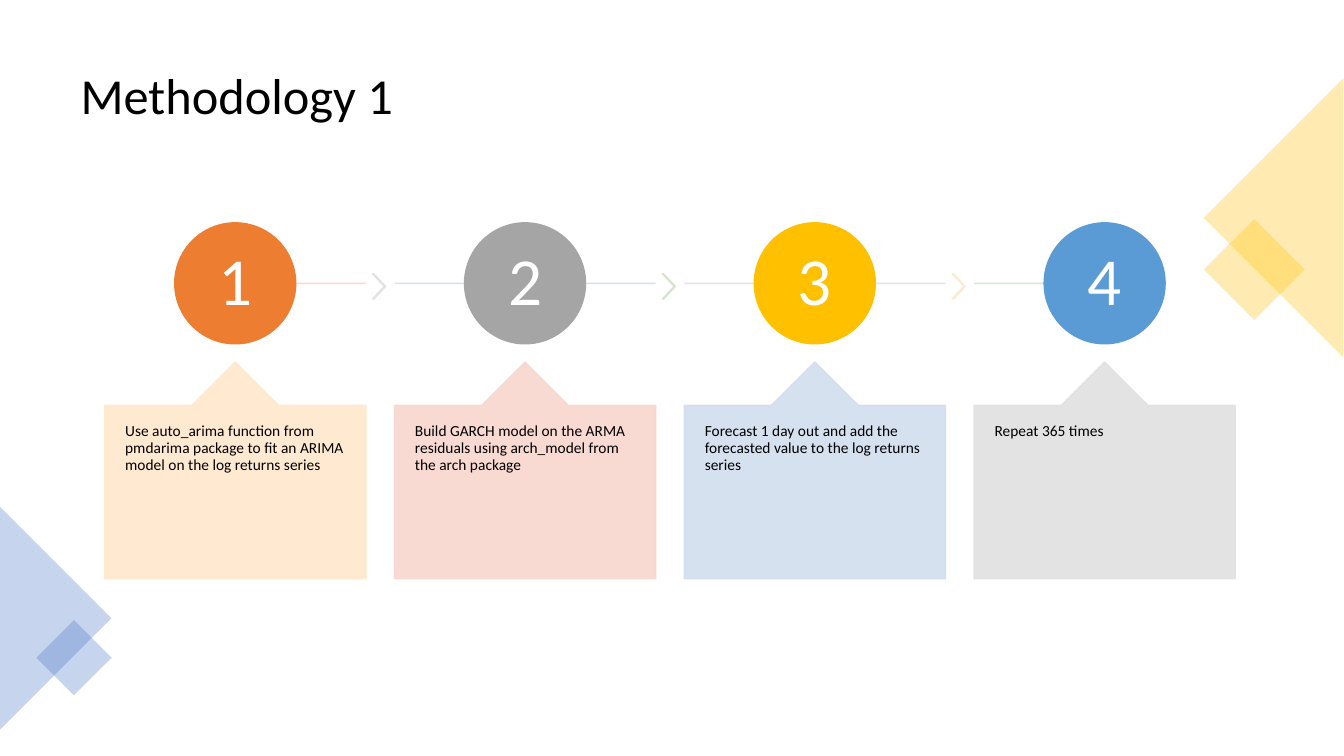
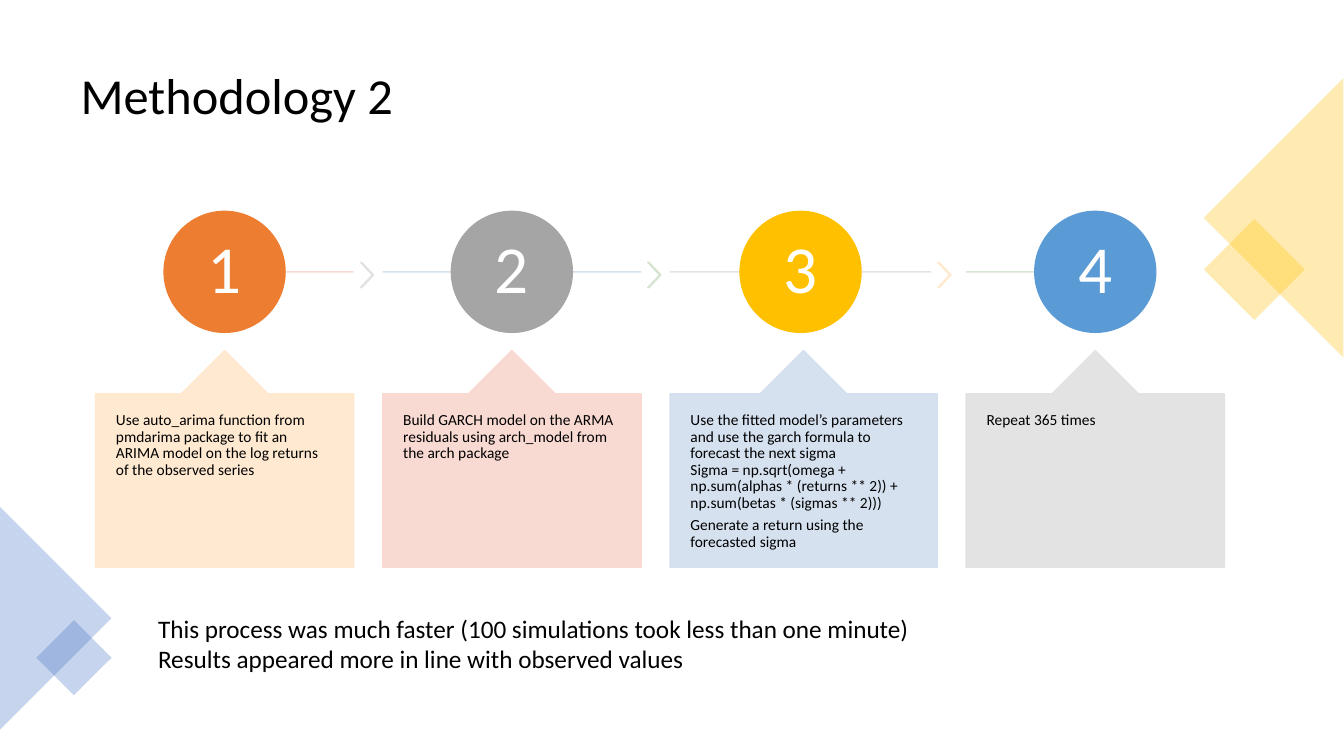
"""Builds two methodology slides, each with a four-step process row."""
from dataclasses import dataclass

from lxml.etree import SubElement
from pptx import Presentation
from pptx.dml.color import RGBColor
from pptx.enum.shapes import MSO_CONNECTOR, MSO_SHAPE as SHAPE
from pptx.enum.text import MSO_ANCHOR as ANCHOR, MSO_AUTO_SIZE as FIT, PP_ALIGN as ALIGN
from pptx.oxml.ns import qn
from pptx.util import Pt


@dataclass(frozen=True)
class Theme:
    font: str = "Calibri"
    title_size: int = 36
    number_size: int = 48
    note_size: int = 18
    step_size: int = 11
    ink: str = "000000"
    paper: str = "FFFFFF"
    gold: str = "FFC000"
    blue: str = "4472C4"
    corner_alpha: int = 30
    pale_alpha: int = 90
    circles: tuple = ("ED7D31", "A5A5A5", "FFC000", "5B9BD5")
    boxes: tuple = ("FFE8CC", "F8D7CE", "D2DEEF", "E1E1E1")
    rails: tuple = ("F8D7CE", "D2DEEF", "E1E1E1", "D5E3CF")
    chevrons: tuple = ("E1E1E1", "D5E3CF", "FFE8CC")


@dataclass(frozen=True)
class Step:
    text: str
    box_width: float
    rail_width: float


THEME = Theme()
TITLE_BOX = (50.4, 25.2, 859, 89.3)
CIRCLE = 86.4
CORNERS = (
    (SHAPE.RECTANGLE, (870.5, 167, 51, 51), 45, THEME.gold),
    (SHAPE.ISOSCELES_TRIANGLE, (810, 105.8, 199.4, 99.7), 270, THEME.gold),
    (SHAPE.ISOSCELES_TRIANGLE, (-39.8, 401.8, 159.2, 79.6), 90, THEME.blue),
    (SHAPE.RECTANGLE, (33.8, 450.8, 38, 38), 45, THEME.blue),
)

FIT_ARIMA = "Use auto_arima function from pmdarima package to fit an ARIMA model on the log returns"
BUILD_GARCH = ("Build GARCH model on the ARMA residuals using arch_model "
               "from the arch package")
REPEAT = "Repeat 365 times"
FORECAST_DAY = "Forecast 1 day out and add the forecasted value to the log returns series"
FORECAST_SIGMA = ("Use the fitted model’s parameters and use the garch formula "
                  "to forecast the next sigma\v"
                  "Sigma = np.sqrt(omega + np.sum(alphas * (returns ** 2)) + "
                  "np.sum(betas * (sigmas ** 2)))\n"
                  "Generate a return using the forecasted sigma")
NOTE = ("This process was much faster (100 simulations took less than one minute)\n"
        "Results appeared more in line with observed values")


def pts(*lengths):
    return [Pt(length) for length in lengths]


def set_alpha(sp, percent):
    for clr in sp.element.iter(qn("a:srgbClr")):
        SubElement(clr, qn("a:alpha"), val=str(percent * 1000))


def add_shape(s, kind, box, color, alpha=100, outlined=True):
    sp = s.shapes.add_shape(kind, *pts(*box))
    sp.shadow.inherit = False
    sp.fill.solid()
    sp.fill.fore_color.rgb = RGBColor.from_string(color)
    if outlined:
        sp.line.color.rgb = RGBColor.from_string(color)
        sp.line.width = Pt(1)
    else:
        sp.line.fill.background()
    if alpha < 100:
        set_alpha(sp, alpha)
    return sp


def write(sp, text, size, color=THEME.ink, align=ALIGN.LEFT, anchor=ANCHOR.TOP,
          insets=(7.2, 3.6), spacing=0.9, after=0):
    tf = sp.text_frame
    tf.text = text
    tf.word_wrap = True
    tf.auto_size = FIT.NONE
    tf.vertical_anchor = anchor
    tf.margin_left = tf.margin_right = Pt(insets[0])
    tf.margin_top = tf.margin_bottom = Pt(insets[1])
    for p in tf.paragraphs:
        p.alignment = align
        p.line_spacing = spacing
        p.space_before = Pt(0)
        p.space_after = Pt(after)
        for r in p.runs:
            r.font.name = THEME.font
            r.font.size = Pt(size)
            r.font.color.rgb = RGBColor.from_string(color)
    for br in sp.element.iter(qn("a:br")):
        SubElement(br, qn("a:rPr"), sz=str(size * 100))


def add_rail(s, start, end, y, color):
    cxn = s.shapes.add_connector(MSO_CONNECTOR.STRAIGHT, *pts(start, y, end, y))
    cxn.line.color.rgb = RGBColor.from_string(color)
    cxn.line.width = Pt(1)
    set_alpha(cxn, THEME.pale_alpha)
    SubElement(cxn.element.spPr, qn("a:effectLst"))


def add_callout(s, box, color, text):
    sp = add_shape(s, SHAPE.UP_ARROW_CALLOUT, box, color, THEME.pale_alpha)
    for i, value in enumerate((0.5, 0.2, 0.2, 1)):
        sp.adjustments[i] = value
    write(sp, text, THEME.step_size, insets=(14.6, 13), after=4)


def add_process(s, steps, left, top, gap):
    last = len(steps) - 1
    for i, step in enumerate(steps):
        center = left + step.rail_width / 2
        right = left + step.rail_width
        add_rail(s, left if i else center, right if i < last else center,
                 top + CIRCLE / 2, THEME.rails[i])
        if i < last:
            chevron = add_shape(s, SHAPE.CHEVRON, (right + 4.8, top + 36.4, 9.4, 18),
                                THEME.chevrons[i], THEME.pale_alpha)
            chevron.adjustments[0] = 0.9
        circle = add_shape(s, SHAPE.OVAL, (center - CIRCLE / 2, top, CIRCLE, CIRCLE),
                           THEME.circles[i])
        write(circle, str(i + 1), THEME.number_size, THEME.paper, ALIGN.CENTER,
              ANCHOR.MIDDLE, (3.6, 3.6))
        add_callout(s, (left, top + 99.4, step.box_width, 154.8), THEME.boxes[i], step.text)
        left += step.box_width + gap


def add_note(s, box, text):
    write(s.shapes.add_textbox(*pts(*box)), text, THEME.note_size, spacing=1)


def add_slide(prs, layout, title):
    s = prs.slides.add_slide(layout)
    write(s.shapes.title, title, THEME.title_size, anchor=ANCHOR.MIDDLE)
    for kind, box, rotation, color in CORNERS:
        add_shape(s, kind, box, color, THEME.corner_alpha, outlined=False).rotation = rotation
    return s


def main():
    prs = Presentation()
    prs.slide_width, prs.slide_height = pts(960, 540)
    layout = prs.slide_layouts.get_by_name("Title Only")
    holder = layout.placeholders[0]
    holder.left, holder.top, holder.width, holder.height = pts(*TITLE_BOX)

    s = add_slide(prs, layout, "Methodology 1")
    texts = (f"{FIT_ARIMA} series", BUILD_GARCH, FORECAST_DAY, REPEAT)
    add_process(s, [Step(text, 186.5, 186.5) for text in texts], 74.8, 159.2, 20.5)

    s = add_slide(prs, layout, "Methodology 2")
    steps = (
        Step(f"{FIT_ARIMA} of the observed series", 184.5, 184.5),
        Step(BUILD_GARCH, 184.5, 184.5),
        Step(FORECAST_SIGMA, 190.8, 186.5),
        Step(REPEAT, 184.5, 184.5),
    )
    add_process(s, steps, 68.2, 151, 20.7)
    add_note(s, (105.8, 434.2, 650, 51), NOTE)

    prs.save("out.pptx")


if __name__ == "__main__":
    main()
